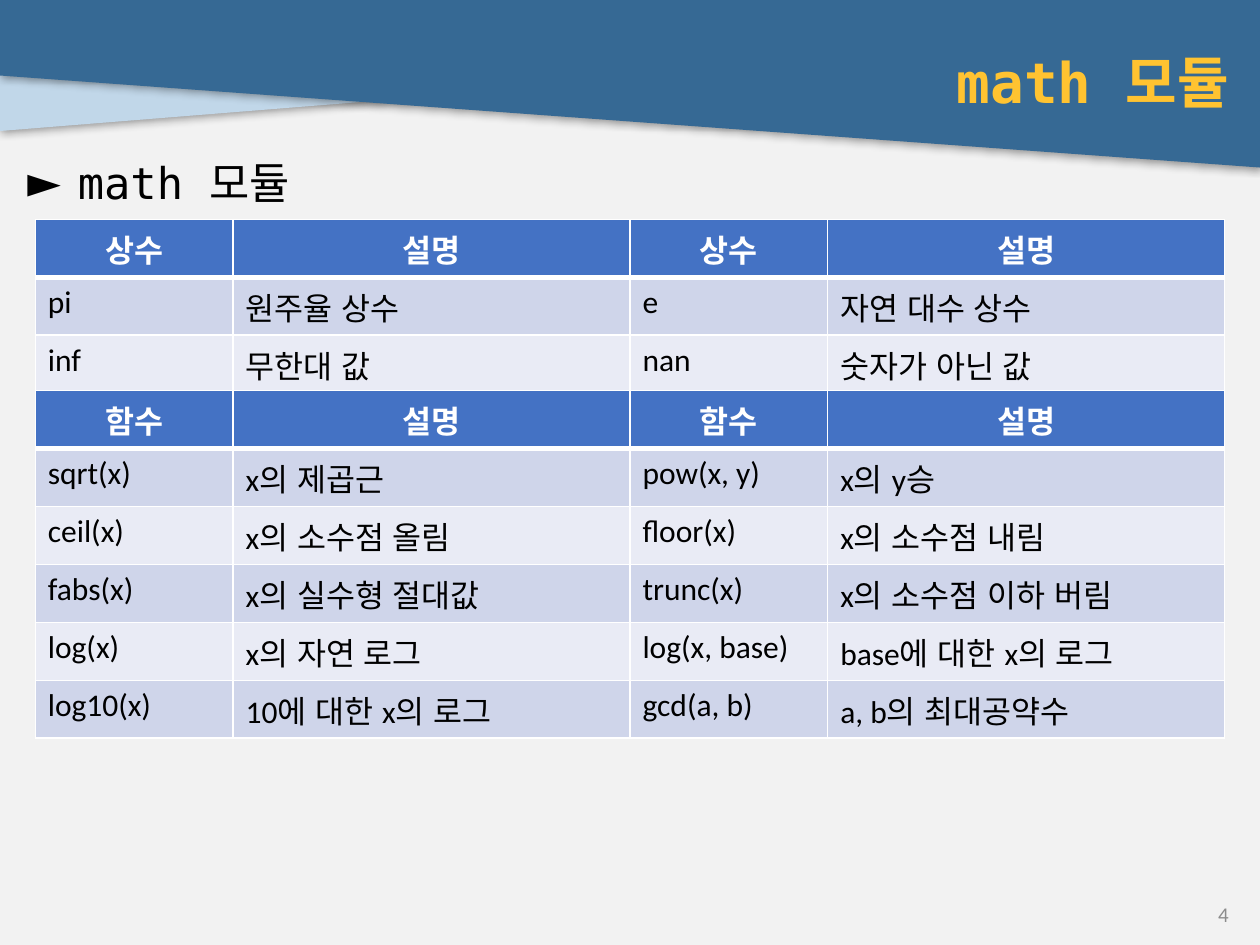
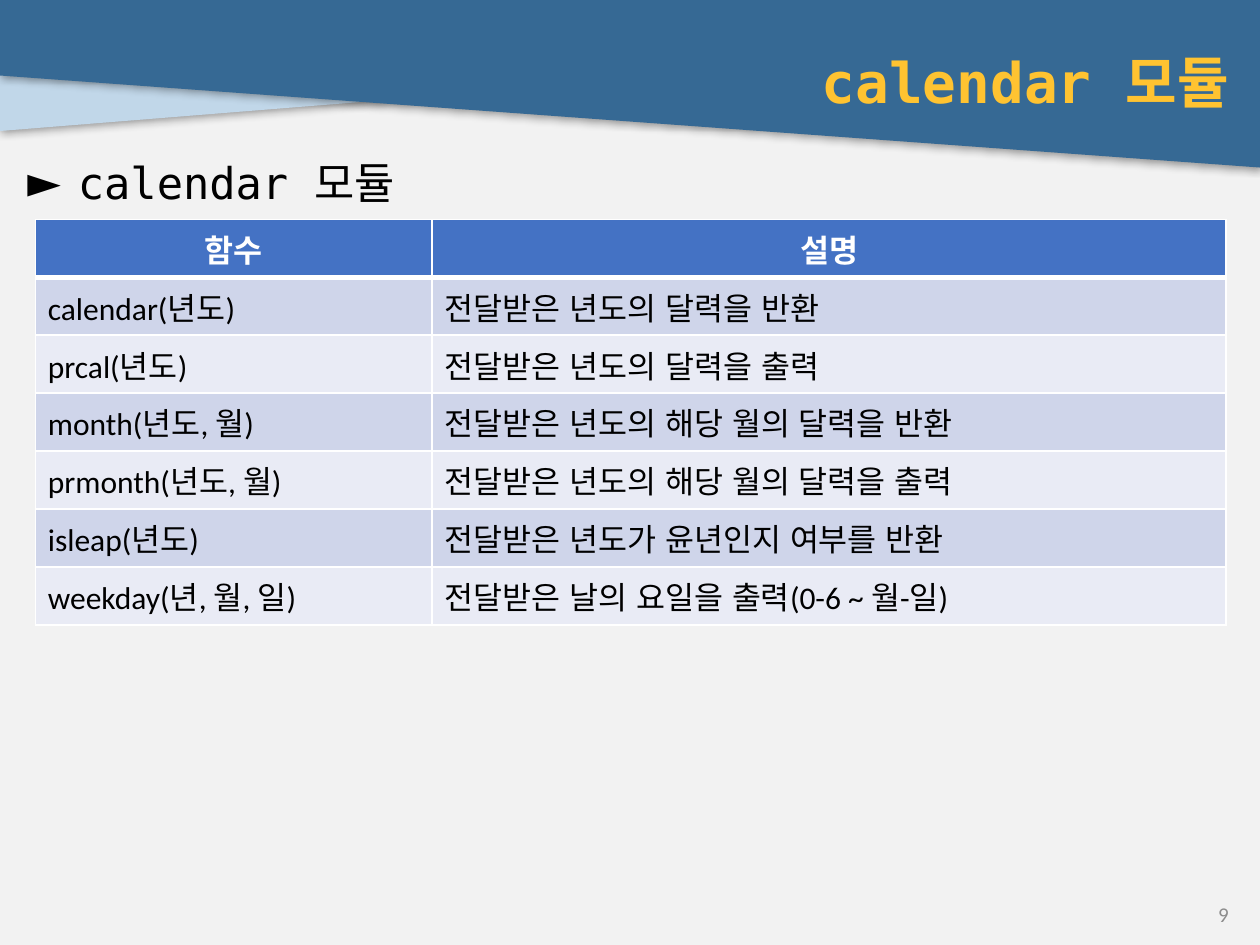
from dataclasses import dataclass

from lxml.etree import SubElement
from pptx import Presentation
from pptx.dml.color import RGBColor
from pptx.enum.lang import MSO_LANGUAGE_ID as Language
from pptx.enum.text import MSO_ANCHOR as Anchor, PP_ALIGN as Align
from pptx.oxml.ns import qn
from pptx.util import Inches, Pt


@dataclass(frozen=True)
class Theme:
    """Colours, fonts and type sizes shared by all slides."""
    background: str = "F2F2F2"
    banner: str = "366994"
    accent: str = "C1D7E9"
    title: str = "FFC331"
    text: str = "000000"
    footer: str = "8C8C8C"
    header: str = "4472C4"
    white: str = "FFFFFF"
    bands: tuple = ("CFD5EA", "E9EBF5")
    code_font: str = "DejaVu Sans Mono"
    body_font: str = "Calibri"
    title_size: int = 32
    bullet_size: int = 25
    cell_size: int = 18
    footer_size: int = 12
    thin_line: int = 1
    thick_line: int = 3


THEME = Theme()
ACCENT_OUTLINE = [(6.84, 0.04), (0, 0.04), (0, 1.04), (6.84, 0.49)]
BANNER_OUTLINE = [(0, 0), (10, 0), (10, 1.33), (0, 0.6)]
TABLE_LEFT = 0.28
ROW_HEIGHT = 0.46
NARROW, MEDIUM, WIDE = 1.57, 3.15, 6.3

CONSTANTS = [
    ("상수", "설명", "상수", "설명"),
    ("pi", "원주율 상수", "e", "자연 대수 상수"),
    ("inf", "무한대 값", "nan", "숫자가 아닌 값"),
]
MATH_FUNCTIONS = [
    ("함수", "설명", "함수", "설명"),
    ("sqrt(x)", "x의 제곱근", "pow(x, y)", "x의 y승"),
    ("ceil(x)", "x의 소수점 올림", "floor(x)", "x의 소수점 내림"),
    ("fabs(x)", "x의 실수형 절대값", "trunc(x)", "x의 소수점 이하 버림"),
    ("log(x)", "x의 자연 로그", "log(x, base)", "base에 대한 x의 로그"),
    ("log10(x)", "10에 대한 x의 로그", "gcd(a, b)", "a, b의 최대공약수"),
]
CALENDAR_FUNCTIONS = [
    ("함수", "설명"),
    ("calendar(년도)", "전달받은 년도의 달력을 반환"),
    ("prcal(년도)", "전달받은 년도의 달력을 출력"),
    ("month(년도, 월)", "전달받은 년도의 해당 월의 달력을 반환"),
    ("prmonth(년도, 월)", "전달받은 년도의 해당 월의 달력을 출력"),
    ("isleap(년도)", "전달받은 년도가 윤년인지 여부를 반환"),
    ("weekday(년, 월, 일)", "전달받은 날의 요일을 출력(0-6 ~ 월-일)"),
]


def set_fill(fill, color):
    """Fill with one solid colour."""
    fill.solid()
    fill.fore_color.rgb = RGBColor.from_string(color)


def write(frame, text, size, color, font, bold=False, align=Align.LEFT):
    """Write one formatted paragraph and return it."""
    frame.text = text
    para = frame.paragraphs[0]
    para.alignment = align
    for span in para.runs:
        span.font.size = Pt(size)
        span.font.name = font
        span.font.bold = bold
        span.font.language_id = Language.KOREAN
        span.font.color.rgb = RGBColor.from_string(color)
    return para


def add_text(slide, area, text, anchor, *style, **options):
    """Add a wrapping text box and return its paragraph."""
    frame = slide.shapes.add_textbox(*map(Inches, area)).text_frame
    frame.word_wrap = True
    frame.vertical_anchor = anchor
    return write(frame, text, *style, **options)


def add_shadow(shape):
    """Give a shape a soft shadow towards the lower right."""
    effects = SubElement(shape.fill._xPr, qn("a:effectLst"))
    shadow = SubElement(effects, qn("a:outerShdw"), blurRad=str(Pt(5)), dist=str(Pt(1)),
                        dir=str(45 * 60000), algn="tl", rotWithShape="0")
    color = SubElement(shadow, qn("a:srgbClr"), val=THEME.text)
    SubElement(color, qn("a:alpha"), val="40000")


def add_band(slide, outline, color):
    """Add a slanted band with a shadow."""
    start, *rest = [(Inches(x), Inches(y)) for x, y in outline]
    builder = slide.shapes.build_freeform(*start)
    builder.add_line_segments(rest, close=True)
    band = builder.convert_to_shape()
    set_fill(band.fill, color)
    band.line.fill.background()
    add_shadow(band)


def add_bullet(para):
    """Turn a paragraph into a hanging arrow bullet."""
    properties = para._p.get_or_add_pPr()
    properties.set("marL", str(Inches(0.4)))
    properties.set("indent", str(-Inches(0.4)))
    SubElement(properties, qn("a:buFont"), typeface=THEME.body_font)
    SubElement(properties, qn("a:buChar"), char="►")


def set_borders(cell, top, bottom):
    """Draw white borders around a cell."""
    properties = cell._tc.get_or_add_tcPr()
    widths = {"L": THEME.thin_line, "R": THEME.thin_line, "T": top, "B": bottom}
    for side, width in widths.items():
        line = SubElement(properties, qn(f"a:ln{side}"), w=str(Pt(width)))
        SubElement(SubElement(line, qn("a:solidFill")), qn("a:srgbClr"), val=THEME.white)


def add_grid(slide, top, widths, rows):
    """Add a table with a header row and banded body rows."""
    table = slide.shapes.add_table(
        len(rows), len(widths), Inches(TABLE_LEFT), Inches(top),
        Inches(sum(widths)), Inches(ROW_HEIGHT * len(rows))).table
    for column, width in zip(table.columns, widths):
        column.width = Inches(width)
    for index, values in enumerate(rows):
        is_header = index == 0
        above = THEME.thick_line if index == 1 else THEME.thin_line
        below = THEME.thick_line if is_header else THEME.thin_line
        for cell, value in zip(table.rows[index].cells, values):
            set_borders(cell, above, below)
            set_fill(cell.fill, THEME.header if is_header else THEME.bands[(index - 1) % 2])
            write(cell.text_frame, value, THEME.cell_size,
                  THEME.white if is_header else THEME.text, THEME.body_font,
                  bold=is_header, align=Align.CENTER if is_header else Align.LEFT)


def add_module_slide(deck, heading, number):
    """Add a slide with bands, title, bullet and page number."""
    slide = deck.slides.add_slide(deck.slide_layouts[6])
    set_fill(slide.background.fill, THEME.background)
    add_band(slide, ACCENT_OUTLINE, THEME.accent)
    add_band(slide, BANNER_OUTLINE, THEME.banner)
    title = add_text(slide, (0.24, 0.24, 9.61, 0.81), heading, Anchor.MIDDLE,
                     THEME.title_size, THEME.title, THEME.code_font,
                     bold=True, align=Align.RIGHT)
    bullet = add_text(slide, (0.12, 1.19, 9.73, 5.82), heading, Anchor.TOP,
                      THEME.bullet_size, THEME.text, THEME.code_font)
    for para in (title, bullet):
        para.space_before = para.space_after = Pt(2)
    add_bullet(bullet)
    add_text(slide, (7.6, 7.13, 2.25, 0.25), str(number), Anchor.MIDDLE,
             THEME.footer_size, THEME.footer, THEME.body_font, align=Align.RIGHT)
    return slide


def main():
    """Build and save the deck."""
    deck = Presentation()
    deck.slide_width, deck.slide_height = Inches(10), Inches(7.5)

    math_slide = add_module_slide(deck, "math 모듈", 4)
    add_grid(math_slide, 1.74, [NARROW, MEDIUM] * 2, CONSTANTS)
    add_grid(math_slide, 3.1, [NARROW, MEDIUM] * 2, MATH_FUNCTIONS)

    calendar_slide = add_module_slide(deck, "calendar 모듈", 9)
    add_grid(calendar_slide, 1.74, [MEDIUM, WIDE], CALENDAR_FUNCTIONS)

    deck.save("out.pptx")


if __name__ == "__main__":
    main()
